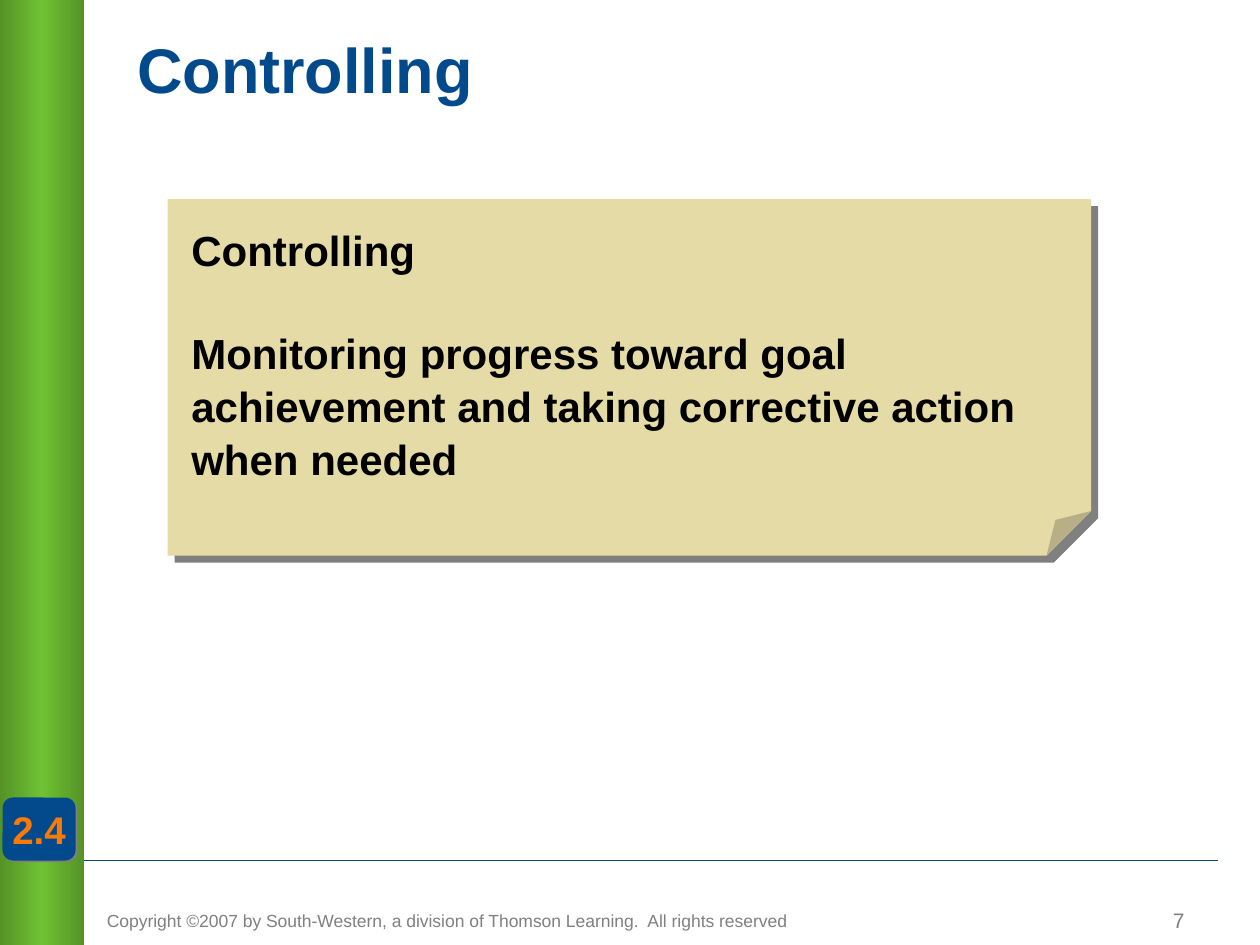
from copy import deepcopy

from lxml.etree import SubElement
from pptx import Presentation
from pptx.dml.color import RGBColor
from pptx.enum.shapes import MSO_CONNECTOR, MSO_SHAPE
from pptx.enum.text import MSO_ANCHOR, PP_ALIGN
from pptx.oxml.ns import qn
from pptx.util import Inches, Pt

COLORS = {
    "blue": "024A8C",
    "green": "70C133",
    "dark_green": "559327",
    "orange": "FB7A05",
    "paper": "E5DBA7",
    "gray": "808080",
    "black": "000000",
}
FORMATS = {
    "title": {"size": Pt(36), "bold": True, "color": "blue"},
    "note": {"size": Pt(24), "bold": True, "color": "black"},
    "badge": {"size": Pt(22), "bold": True, "color": "orange"},
    "copyright": {"size": Pt(10), "bold": False, "color": "gray"},
    "number": {"size": Pt(12), "bold": False, "color": "gray"},
}


def rgb(name):
    """Return the named colour."""
    return RGBColor.from_string(COLORS[name])


def write(shape, paragraphs, style, align=PP_ALIGN.LEFT, anchor=MSO_ANCHOR.TOP, wrap=True):
    """Fill a shape with paragraphs of one style and return them."""
    frame = shape.text_frame
    frame.word_wrap = wrap
    frame.vertical_anchor = anchor
    frame.text = "\n".join(paragraphs)
    for paragraph in frame.paragraphs:
        paragraph.alignment = align
        paragraph.font.name = "Arial"
        for attribute, value in FORMATS[style].items():
            if attribute == "color":
                paragraph.font.color.rgb = rgb(value)
            else:
                setattr(paragraph.font, attribute, value)
    return frame.paragraphs


def add_text(slide, left, top, width, height, paragraphs, style, **layout):
    """Add a text box, in inches, and return its paragraphs."""
    box = slide.shapes.add_textbox(Inches(left), Inches(top), Inches(width), Inches(height))
    return write(box, paragraphs, style, **layout)


def add_panel(slide, kind, left, top, width, height, color, shadow_distance=0):
    """Add an unlined shape, in inches, with an optional hard shadow."""
    shape = slide.shapes.add_shape(kind, Inches(left), Inches(top), Inches(width), Inches(height))
    shape.fill.solid()
    shape.fill.fore_color.rgb = rgb(color)
    shape.line.fill.background()
    shape.shadow.inherit = False
    if shadow_distance:
        effects = shape.element.spPr.find(qn("a:effectLst"))
        shadow = SubElement(effects, qn("a:outerShdw"), dist=str(Pt(shadow_distance)),
                            dir="2700000", algn="ctr", rotWithShape="0")
        SubElement(shadow, qn("a:srgbClr"), val=COLORS["gray"])
    return shape


def add_footer(slide, left, top, width):
    """Draw the rule with the copyright line and page number below it."""
    rule = slide.shapes.add_connector(MSO_CONNECTOR.STRAIGHT, Inches(left), Inches(top),
                                      Inches(left + width), Inches(top))
    rule.line.color.rgb = rgb("blue")
    rule.line.width = Pt(0.75)
    SubElement(rule.element.spPr, qn("a:effectLst"))
    notice = "Copyright ©2007 by South-Western, a division of Thomson Learning.  All rights reserved"
    add_text(slide, left + 0.51, top + 0.34, 6.67, 0.52, [notice], "copyright")
    add_text(slide, left + 6.93, top + 0.32, 2.33, 0.44, ["7"], "number", align=PP_ALIGN.RIGHT)


def add_sidebar(slide, left, top, width, height):
    """Draw the green gradient bar with its section badge."""
    bar = add_panel(slide, MSO_SHAPE.RECTANGLE, left, top, width, height, "green")
    bar.fill.gradient()
    bar.fill.gradient_angle = 0
    stop_list = bar.element.spPr.find(qn("a:gradFill")).find(qn("a:gsLst"))
    stop_list.append(deepcopy(stop_list[0]))
    stops = zip(bar.fill.gradient_stops, (0, 0.5, 1), ("dark_green", "green", "dark_green"))
    for stop, position, color in stops:
        stop.position = position
        stop.color.rgb = rgb(color)
    badge = add_panel(slide, MSO_SHAPE.ROUNDED_RECTANGLE, left + 0.02, top + 6.33,
                      0.58, 0.5, "blue", 1.4)
    write(badge, ["2.4"], "badge", align=PP_ALIGN.CENTER, anchor=MSO_ANCHOR.MIDDLE, wrap=False)


def add_note(slide, left, top, width, height, term, definition):
    """Draw the folded note with a term and its definition."""
    paper = add_panel(slide, MSO_SHAPE.FOLDED_CORNER, left, top, width, height, "paper", 5.7)
    guides = paper.element.spPr.find(qn("a:prstGeom")).find(qn("a:avLst"))
    SubElement(guides, qn("a:gd"), name="adj", fmla="val 12500")
    paragraphs = add_text(slide, left + 0.09, top + 0.13, width - 0.25, height - 0.2,
                          [term, definition], "note")
    for paragraph in paragraphs:
        paragraph.line_spacing = 1.05
    paragraphs[1].space_before = Pt(29)


def main():
    """Build the slide and save it."""
    presentation = Presentation()
    presentation.slide_width = Inches(10)
    presentation.slide_height = Inches(7.5)
    slide = presentation.slides.add_slide(presentation.slide_layouts[6])
    add_footer(slide, 0.24, 6.83, 9.43)
    add_sidebar(slide, 0, 0, 0.67, 7.5)
    add_text(slide, 0.99, 0.08, 8.67, 0.92, ["Controlling"], "title", anchor=MSO_ANCHOR.MIDDLE)
    add_note(slide, 1.33, 1.58, 7.33, 2.83, "Controlling",
             "Monitoring progress toward goal achievement and taking corrective action when needed")
    presentation.save("out.pptx")


if __name__ == "__main__":
    main()
